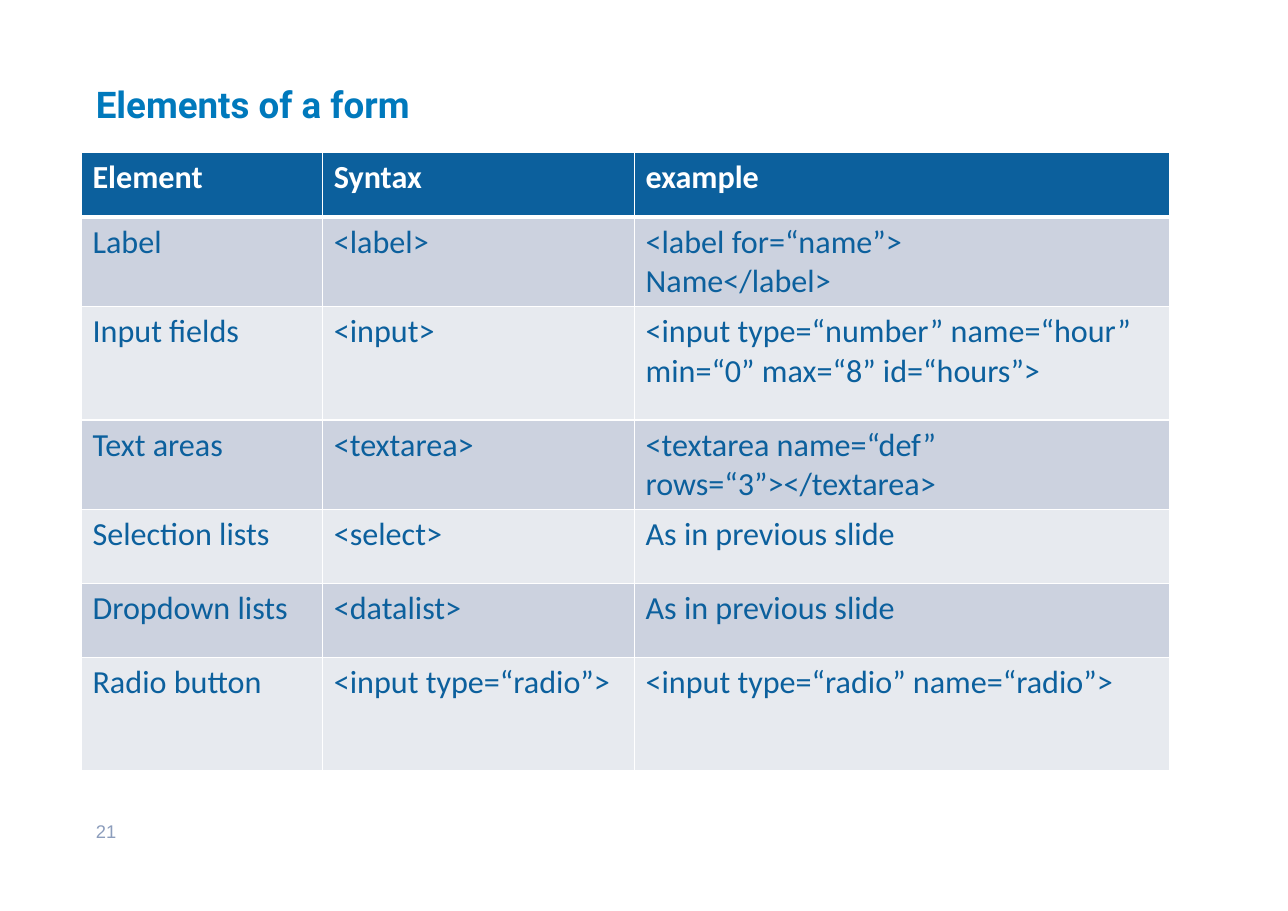
from lxml import etree
from pptx import Presentation
from pptx import util as u
from pptx.dml.color import RGBColor
from pptx.enum import text
from pptx.oxml import ns

WHITE, NAVY = "FFFFFF", "0C609D"
BANDS = ["CCD2DF", "E7EAEF"]
COLUMN_WIDTHS = [2.19, 2.83, 4.86]
ROW_HEIGHTS = [0.59, 0.81, 1.03, 0.81, 0.67, 0.67, 1.03]
FORM_ELEMENTS = [
    ["Element", "Syntax", "example"],
    ["Label", "<label>", "<label for=“name”>\nName</label>"],
    ["Input fields", "<input>", "<input type=“number” name=“hour” min=“0” max=“8” id=“hours”>"],
    ["Text areas", "<textarea>", "<textarea name=“def” rows=“3”></textarea>"],
    ["Selection lists", "<select>", "As in previous slide"],
    ["Dropdown lists", "<datalist>", "As in previous slide"],
    ["Radio button", "<input type=“radio”>", "<input type=“radio” name=“radio”>"],
]


def colour(value):
    return RGBColor.from_string(value)


class FormSlide:
    """Holds the current slide and draws its elements in one style."""

    def __init__(self, deck):
        self.slide = deck.slides.add_slide(deck.slide_layouts[5])

    def add_words(self, frame, words, font, size, shade, bold=False):
        frame.word_wrap = True
        for index, line in enumerate(words.split("\n")):
            para = frame.add_paragraph() if index else frame.paragraphs[0]
            para.alignment = text.PP_ALIGN.LEFT
            span = para.add_run()
            span.text = line
            span.font.name, span.font.size = font, u.Pt(size)
            span.font.bold = bold
            span.font.color.rgb = colour(shade)

    def inset(self, frame, anchor):
        frame.auto_size = text.MSO_AUTO_SIZE.NONE
        frame.vertical_anchor = anchor
        frame.margin_left = frame.margin_right = u.Inches(0.11)
        frame.margin_top = frame.margin_bottom = u.Inches(0.06)

    def title(self, words, left, top, width, height):
        box = self.slide.shapes.title
        box.left, box.top = u.Inches(left), u.Inches(top)
        box.width, box.height = u.Inches(width), u.Inches(height)
        self.inset(box.text_frame, text.MSO_ANCHOR.MIDDLE)
        self.add_words(box.text_frame, words, "Roboto", 24, "0079BC", True)

    def page_number(self, words, left, top, width, height):
        box = self.slide.shapes.add_textbox(*map(u.Inches, (left, top, width, height)))
        self.inset(box.text_frame, text.MSO_ANCHOR.TOP)
        self.add_words(box.text_frame, words, "Arial", 12, "8C9DBC")

    def border(self, cell, side, points):
        properties = cell._tc.get_or_add_tcPr()
        line = etree.SubElement(properties, ns.qn(f"a:ln{side}"), w=str(u.Pt(points)))
        fill = etree.SubElement(line, ns.qn("a:solidFill"))
        etree.SubElement(fill, ns.qn("a:srgbClr"), val=WHITE)

    def table(self, rows, left, top, widths, heights):
        size = map(u.Inches, (left, top, sum(widths), sum(heights)))
        table = self.slide.shapes.add_table(len(rows), len(widths), *size).table
        for column, width in zip(table.columns, widths):
            column.width = u.Inches(width)
        for index, (row, height, entries) in enumerate(zip(table.rows, heights, rows)):
            row.height = u.Inches(height)
            header = index == 0
            for cell, words in zip(row.cells, entries):
                for side in "LRTB":
                    thick = (header and side == "B") or (index == 1 and side == "T")
                    self.border(cell, side, 3 if thick else 1)
                cell.fill.solid()
                cell.fill.fore_color.rgb = colour(NAVY if header else BANDS[(index - 1) % 2])
                shade = WHITE if header else NAVY
                self.add_words(cell.text_frame, words, "Calibri", 21, shade, header)


def main():
    deck = Presentation()
    deck.slide_width, deck.slide_height = u.Inches(11.69), u.Inches(8.27)
    page = FormSlide(deck)
    page.title("Elements of a form", 0.76, 0.33, 10.17, 1.22)
    page.page_number("21", 0.76, 7.39, 2.55, 0.44)
    page.table(FORM_ELEMENTS, 0.74, 1.38, COLUMN_WIDTHS, ROW_HEIGHTS)
    deck.save("out.pptx")


if __name__ == "__main__":
    main()
